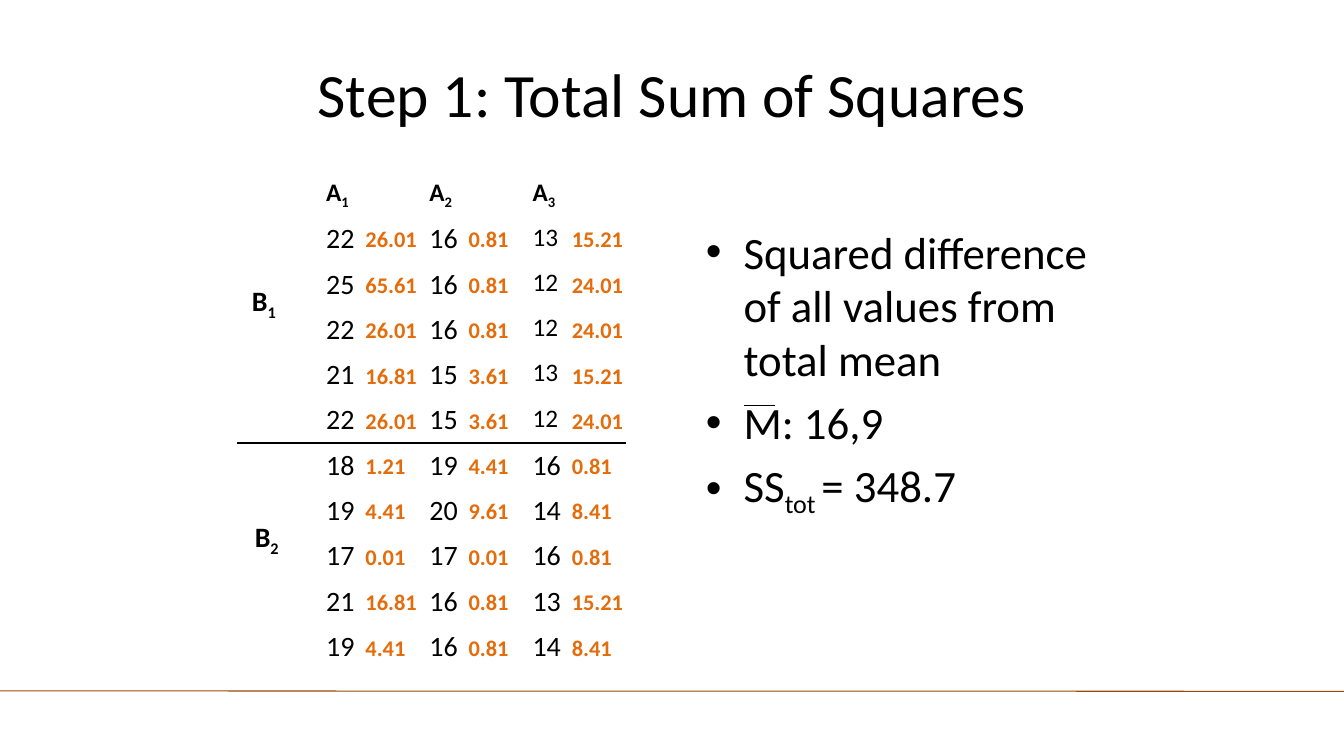
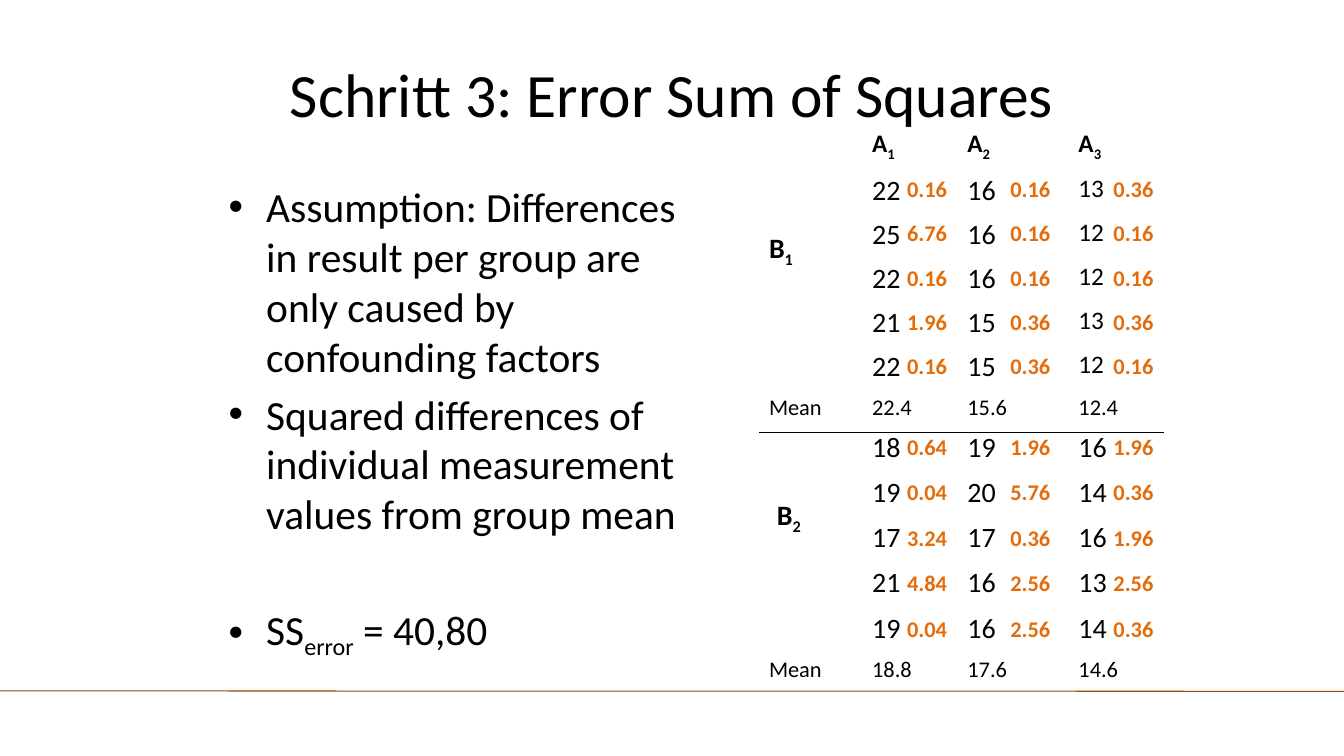
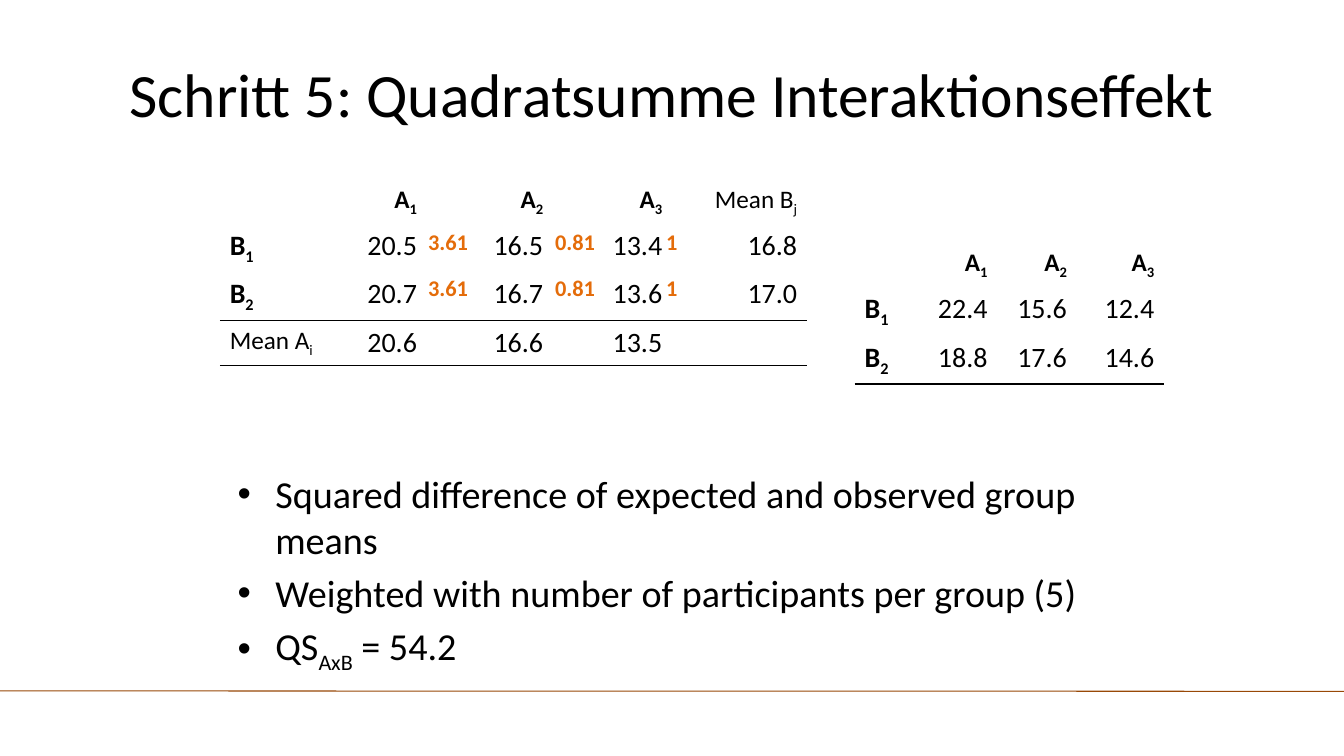
"""Build three slides on the sums of squares of a two-way analysis of variance."""
from dataclasses import dataclass
from typing import Any, Callable

from lxml import etree
from pptx import Presentation
from pptx import util as u
from pptx.dml.color import RGBColor
from pptx.enum import shapes, text
from pptx.oxml.ns import qn

BLACK, BROWN, ORANGE = "000000", "984807", "E46C0A"
FONT = "Calibri"
PLAIN = "{2D5ABB26-0587-4C30-8999-92F81FD0307C}"
LEFT, MID, RIGHT = text.PP_ALIGN.LEFT, text.PP_ALIGN.CENTER, text.PP_ALIGN.RIGHT

HEAD = "|A_1|A_2|A_3"
TOP = ["|22|16|13", "|25|16|12", "|22|16|12", "|21|15|13", "|22|15|12"]
LOW = ["|18|19|16", "|19|20|14", "|17|17|16", "|21|16|13", "|19|16|14"]


@dataclass
class Grid:
    """A table; cells are split by bars, and underscores enclose subscripts."""
    x: float
    y: float
    cols: tuple[float, ...]
    tall: float
    rows: list[str]
    size: Callable[[int, int], float] = lambda r, c: 20
    ruled: tuple[int, ...] = ()
    right: bool = False
    note: bool = False
    top: float = 0.13
    side: float = 0.25


@dataclass
class Point:
    """A bullet and the extra space above it in points."""
    words: str
    gap: float = 0


@dataclass
class Body:
    """A bulleted text box."""
    x: float
    y: float
    wide: float
    high: float
    size: float
    points: list[Point]


@dataclass
class Page:
    """All that one slide shows."""
    title: str
    body: Body
    grids: list[Grid]
    bars: tuple[tuple[float, ...], ...] = ()


def put(thing: Any, **vals: Any) -> None:
    """Set each format value on the thing."""
    for key, val in vals.items():
        setattr(thing, key, val)


def tint(hue: str) -> RGBColor:
    """Turn a hex string into a colour."""
    return RGBColor.from_string(hue)


def write(para: Any, words: str, size: float, bold: bool = False, hue: str = BLACK) -> None:
    """Add runs to a paragraph, lowering every second part."""
    for i, part in enumerate(words.split("_")):
        if part:
            run = para.add_run()
            run.text = part
            put(run.font, name=FONT, size=u.Pt(size), bold=bold)
            run.font.color.rgb = tint(hue)
            if i % 2:
                run._r.get_or_add_rPr().set("baseline", "-25000")


def draw_line(slide: Any, x1: float, y1: float, x2: float, y2: float, hue: str, wide: float) -> None:
    """Draw a straight line without a shadow."""
    line = slide.shapes.add_connector(
        shapes.MSO_CONNECTOR.STRAIGHT, u.Cm(x1), u.Cm(y1), u.Cm(x2), u.Cm(y2))
    line.line.color.rgb = tint(hue)
    line.line.width = u.Pt(wide)
    etree.SubElement(line._element.spPr, qn("a:effectLst"))


def add_box(slide: Any, x: float, y: float, wide: float, high: float, **vals: Any) -> Any:
    """Add a wrapped text box and return its frame."""
    frame = slide.shapes.add_textbox(u.Cm(x), u.Cm(y), u.Cm(wide), u.Cm(high)).text_frame
    put(frame, word_wrap=True, **vals)
    return frame


def draw_title(slide: Any, words: str) -> None:
    """Draw the shared title and the footer line."""
    draw_line(slide, 0, 17.41, 33.87, 17.42, BROWN, 0.75)
    frame = add_box(slide, 1.7, 0.76, 30.48, 3.18, vertical_anchor=text.MSO_ANCHOR.MIDDLE)
    para = frame.paragraphs[0]
    para.alignment = MID
    write(para, words, 44)


def draw_body(slide: Any, body: Body) -> None:
    """Draw the bullets."""
    frame = add_box(slide, body.x, body.y, body.wide, body.high)
    for i, point in enumerate(body.points):
        para = frame.add_paragraph() if i else frame.paragraphs[0]
        para.space_before = u.Pt(round(body.size * 0.2 + point.gap, 1))
        props = para._p.get_or_add_pPr()
        props.set("marL", str(u.Cm(0.95)))
        props.set("indent", str(-u.Cm(0.95)))
        etree.SubElement(props, qn("a:buFont")).set("typeface", "Arial")
        etree.SubElement(props, qn("a:buChar")).set("char", "•")
        write(para, point.words, body.size)


def rule_cell(cell: Any) -> None:
    """Give a cell a black bottom border."""
    line = etree.Element(qn("a:lnB"), w=str(u.Pt(1)))
    fill = etree.SubElement(line, qn("a:solidFill"))
    etree.SubElement(fill, qn("a:srgbClr")).set("val", BLACK)
    cell._tc.get_or_add_tcPr().insert(0, line)


def draw_grid(slide: Any, grid: Grid) -> None:
    """Draw a table without fills."""
    count = len(grid.rows)
    table = slide.shapes.add_table(
        count, len(grid.cols), u.Cm(grid.x), u.Cm(grid.y),
        u.Cm(sum(grid.cols)), u.Cm(grid.tall * count)).table
    put(table, first_row=False, horz_banding=False)
    table._tbl.tblPr.find(qn("a:tableStyleId")).text = PLAIN
    for col, wide in zip(table.columns, grid.cols):
        col.width = u.Cm(wide)
    for r, row in enumerate(grid.rows):
        table.rows[r].height = u.Cm(grid.tall)
        for c, words in enumerate(row.split("|")):
            cell = table.cell(r, c)
            put(cell, margin_top=u.Cm(grid.top),
                margin_left=u.Cm(grid.side), margin_right=u.Cm(grid.side))
            cell.fill.background()
            if r in grid.ruled:
                rule_cell(cell)
            para = cell.text_frame.paragraphs[0]
            para.alignment = RIGHT if grid.right and c else LEFT
            bold = grid.note or ("_" in words and not words.startswith("Mean"))
            write(para, words, grid.size(r, c), bold, ORANGE if grid.note else BLACK)


def note(x: float, y: float, tall: float, rows: list[str],
         cols: tuple[float, ...] = (2.6, 2.6, 2.6)) -> Grid:
    """Make a grid of squared differences."""
    return Grid(x, y, cols, tall, rows, lambda r, c: 16, note=True)


def label(x: float, y: float, words: str, tall: float, top: float,
          wide: float = 1.8, side: float = 0.25) -> Grid:
    """Make a one-cell grid that names a row group."""
    return Grid(x, y, (wide,), tall, [words], top=top, side=side)


def top_size(r: int, c: int) -> float:
    """Give the text size in an upper data grid."""
    return 16 if r == 6 else 18 if r == 0 or c == 3 else 20


def low_size(r: int, c: int) -> float:
    """Give the text size in a lower data grid."""
    return 16 if r == 5 else 20


def mean_size(r: int, c: int) -> float:
    """Give the text size in a grid of means."""
    return 18 if r == 0 or (r, c) == (3, 0) else 20


WIDE = (2, 2.6, 2.6, 2.6)
PAGES = [
    Page(
        "Step 1: Total Sum of Squares",
        Body(17.54, 5.53, 10.82, 11.48, 32, [
            Point("Squared difference of all values from total mean"),
            Point("M: 16,9"),
            Point("SS_tot _= 348.7")]),
        [
            Grid(5.97, 4.33, WIDE, 1.14, [HEAD, *TOP], top_size, (5,)),
            note(8.96, 11.28, 1.15, ["1.21|4.41|0.81", "4.41|9.61|8.41", "0.01|0.01|0.81",
                                     "16.81|0.81|15.21", "4.41|0.81|8.41"]),
            label(3.12, 4.45, "B_1", 6.86, 2.72, 22.89, 3.23),
            note(8.96, 5.57, 1.15, ["26.01|0.81|15.21", "65.61|0.81|24.01", "26.01|0.81|24.01",
                                    "16.81|3.61|15.21", "26.01|3.61|24.01"]),
            Grid(5.97, 11.18, WIDE, 1.14, LOW, low_size),
            label(6.17, 11.28, "B_2", 5.72, 1.85),
        ],
        ((18.75, 10.22, 19.53, 10.22),)),
    Page(
        "Schritt 3: Error Sum of Squares",
        Body(5.51, 4.45, 12.22, 12.57, 29.6, [
            Point("Assumption: Differences in result per group are only caused by confounding factors"),
            Point("Squared differences of individual measurement values from group mean"),
            Point("SS_error_ = 40,80", 41.5)]),
        [
            Grid(19.13, 3.12, (2.6, 2.4, 2.8, 2.4), 1.11,
                 [HEAD, *TOP, "Mean|22.4|15.6|12.4"], top_size, (6,)),
            Grid(19.13, 10.72, (2.6, 2.4, 2.8, 2), 1.14,
                 [*LOW, "Mean|18.8|17.6|14.6"], low_size),
            label(19.13, 3.12, "B_1", 6.86, 2.72, 1.4),
            label(19.33, 10.72, "B_2", 5.72, 1.85),
            note(22.61, 4.32, 1.11, ["0.16|0.16|0.36", "6.76|0.16|0.16", "0.16|0.16|0.16",
                                     "1.96|0.36|0.36", "0.16|0.36|0.16"]),
            note(22.61, 10.8, 1.15, ["0.64|1.96|1.96", "0.04|5.76|0.36", "3.24|0.36|1.96",
                                     "4.84|2.56|2.56", "0.04|2.56|0.36"]),
        ]),
    Page(
        "Schritt 5: Quadratsumme Interaktionseffekt",
        Body(5.74, 11.73, 22, 5.28, 27.2, [
            Point("Squared difference of expected and observed group means"),
            Point("Weighted with number of participants per group (5)"),
            Point("QS_AxB_ = 54.2")]),
        [
            Grid(5.54, 4.51, (3, 2.22, 3.18, 3, 3.4), 1.1,
                 [HEAD + "|Mean B_j", "B_1|20.5|16.5|13.4|16.8", "B_2|20.7|16.7|13.6|17.0",
                  "Mean A_i|20.6|16.6|13.5|"], mean_size, (2, 3), right=True),
            note(10.54, 5.65, 1.15, ["3.61|0.81|1"] * 2, (3.2, 2.8, 2.6)),
            Grid(21.54, 6.11, (1.4, 2.2, 2, 2.2), 1.1,
                 [HEAD, "B_1|22.4|15.6|12.4", "B_2|18.8|17.6|14.6"],
                 mean_size, (2,), right=True),
        ]),
]


def main() -> None:
    """Build and save the slides."""
    deck = Presentation()
    put(deck, slide_width=u.Cm(33.87), slide_height=u.Cm(19.05))
    for page in PAGES:
        slide = deck.slides.add_slide(deck.slide_layouts[6])
        draw_title(slide, page.title)
        draw_body(slide, page.body)
        for grid in page.grids:
            draw_grid(slide, grid)
        for bar in page.bars:
            draw_line(slide, *bar, BLACK, 1)
    deck.save("out.pptx")


if __name__ == "__main__":
    main()
